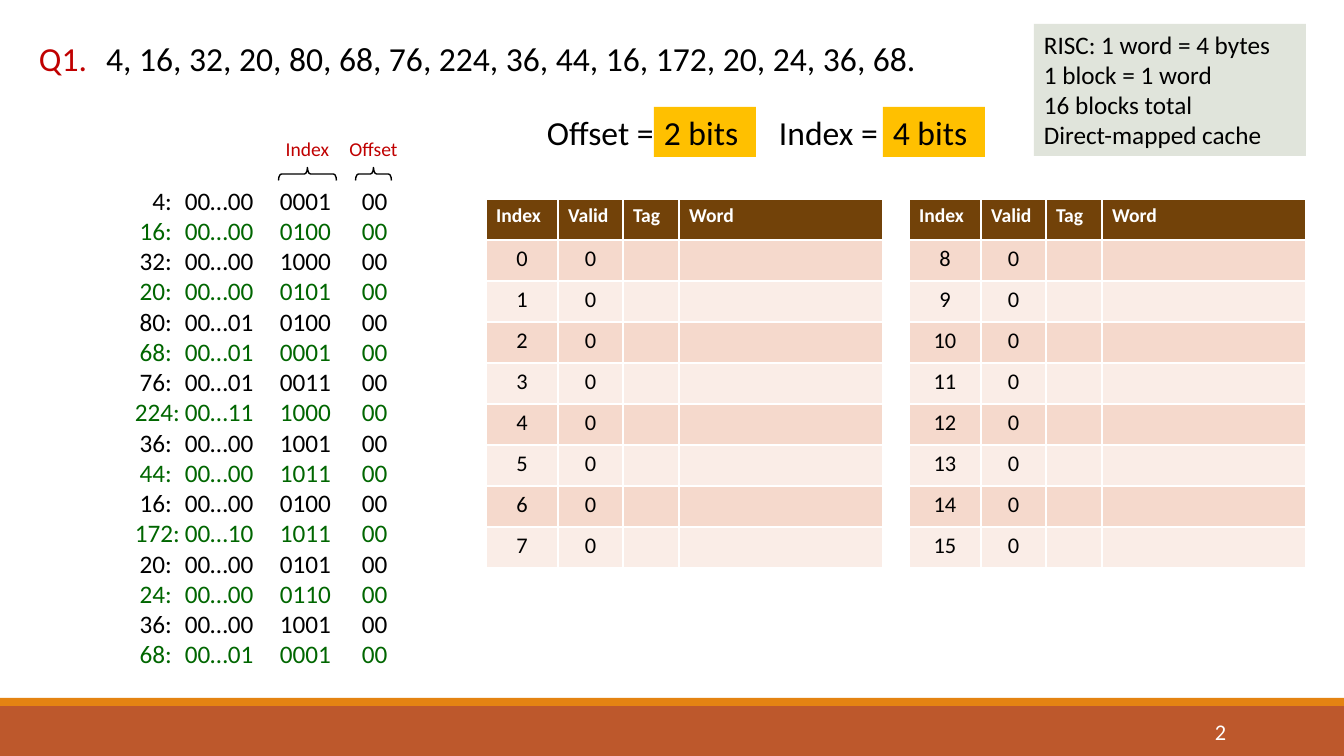
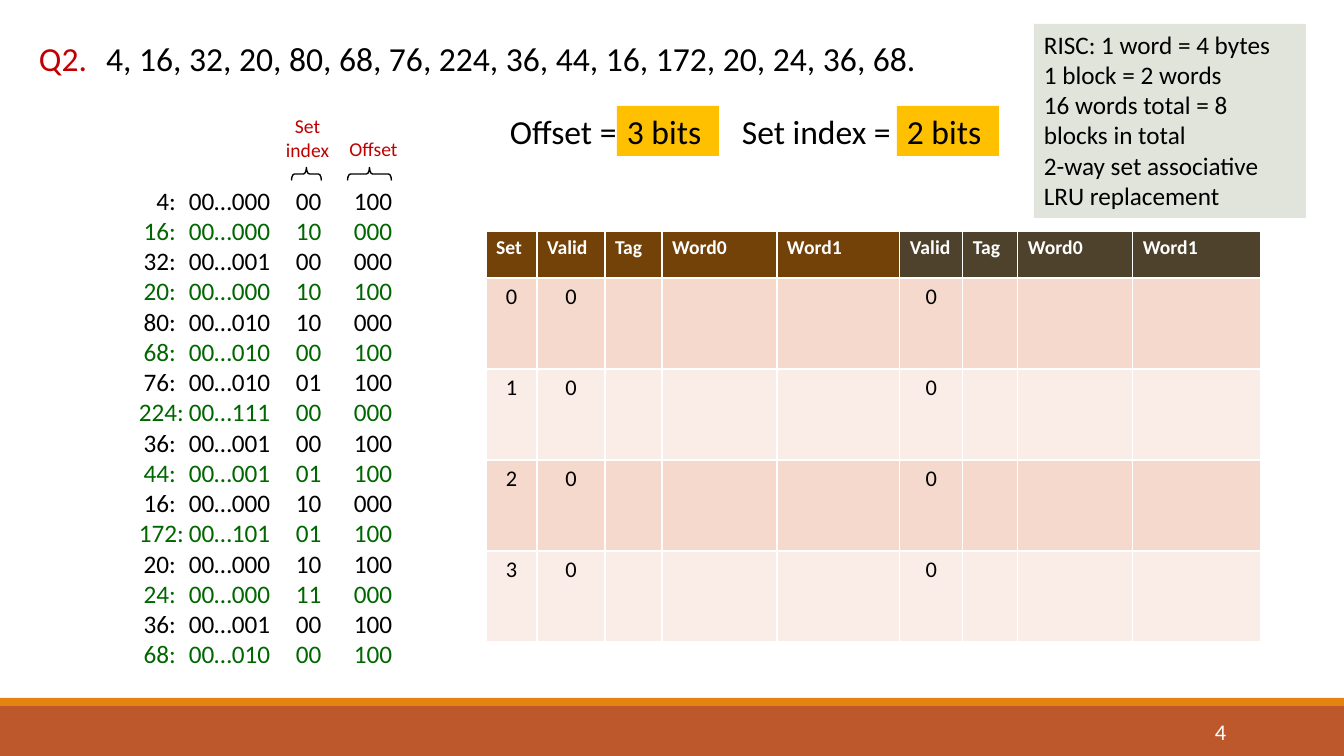
from pptx import Presentation
from pptx import util as u
from pptx.dml.color import RGBColor
from pptx.enum import shapes, text
from pptx.oxml import parse_xml
from pptx.oxml.ns import nsdecls

PX = 914400 / 100.8
FONT = "Calibri"
BLACK = RGBColor(0, 0, 0)
WHITE = RGBColor(255, 255, 255)
RED = RGBColor(0xC0, 0, 0)
GREEN = RGBColor(0, 0x66, 0)
AMBER = RGBColor(0xFF, 0xC0, 0)
SAGE = RGBColor(0xE0, 0xE4, 0xDB)
RUST = RGBColor(0xBD, 0x58, 0x2C)
ORANGE = RGBColor(0xE4, 0x83, 0x12)
BROWN = RGBColor(0x72, 0x42, 0x09)
OLIVE = RGBColor(0x4E, 0x42, 0x2C)
ROW_FILLS = (RGBColor(0xF5, 0xD9, 0xCC), RGBColor(0xFA, 0xED, 0xE7))

LEFT, CENTER, RIGHT = (text.PP_ALIGN.LEFT, text.PP_ALIGN.CENTER,
                       text.PP_ALIGN.RIGHT)
ADDRESSES = (4, 16, 32, 20, 80, 68, 76, 224, 36, 44, 16, 172, 20, 24, 36, 68)
WORD_SIZE = "RISC: 1 word = 4 bytes"


def px(*lengths):
    """Turn pixels into EMU."""
    return [u.Emu(round(length * PX)) for length in lengths]


def style(paragraph, size, color, align=LEFT, bold=False):
    """Format every run of a paragraph."""
    paragraph.alignment = align
    for run in paragraph.runs:
        run.font.name = FONT
        run.font.size = u.Pt(size)
        run.font.bold = bold
        run.font.color.rgb = color


def write(shape, words, size, color=BLACK, align=LEFT,
          anchor=text.MSO_ANCHOR.TOP):
    """Put formatted, wrapping text in a shape."""
    frame = shape.text_frame
    frame.text = words
    frame.word_wrap = True
    frame.auto_size = text.MSO_AUTO_SIZE.NONE
    frame.vertical_anchor = anchor
    for paragraph in frame.paragraphs:
        style(paragraph, size, color, align)


def add_text(slide, box, words, size, **look):
    """Add a text box."""
    label = slide.shapes.add_textbox(*px(*box))
    write(label, words, size, **look)
    return label


def add_panel(slide, box, fill):
    """Add a flat filled rectangle."""
    panel = slide.shapes.add_shape(shapes.MSO_SHAPE.RECTANGLE, *px(*box))
    panel.shadow.inherit = False
    panel.fill.solid()
    panel.fill.fore_color.rgb = fill
    panel.line.fill.background()
    return panel


def add_bands(prs, slide):
    """Draw the bottom bands and hand them over to the slide master."""
    tree = prs.slide_master.shapes.element
    for position, (box, fill) in enumerate((
            ((0, 706, 1344, 50), RUST), ((0, 698, 1344, 8), ORANGE))):
        tree.insert(2 + position, add_panel(slide, box, fill).element)


def add_question(prs, name, page):
    """Start a slide with its question name, sequence and page number."""
    slide = prs.slides.add_slide(prs.slide_layouts[5])
    title = slide.shapes.title
    title.left, title.top, title.width, title.height = px(96, 33, 911, 50)
    write(title, ", ".join(map(str, ADDRESSES)) + ".", 24)
    add_text(slide, (13, 33, 100, 50), name, 24, color=RED, align=CENTER)
    add_text(slide, (1092, 712, 144, 40), page, 16, color=WHITE, align=RIGHT,
             anchor=text.MSO_ANCHOR.MIDDLE)
    return slide


def add_note(slide, height, lines):
    """Add the panel that describes the cache."""
    note = add_panel(slide, (1034, 24, 272, height), SAGE)
    write(note, "\n".join(lines), 18)


def add_answer(slide, left, top, question, answer_left, answer):
    """Add a field size with its highlighted answer."""
    add_text(slide, (left, top, 208, 50), question, 24)
    write(add_panel(slide, (answer_left, top, 102, 50), AMBER), answer, 24)


def add_field_brace(slide, middle, width, label_left, label, lines=1):
    """Add a brace over a column of bits, with its label above."""
    brace = slide.shapes.add_shape(shapes.MSO_SHAPE.RIGHT_BRACE,
                                   *px(middle - 6, 174 - width / 2, 13, width))
    brace.rotation = 270
    brace.adjustments[0] = 0.23
    brace.shadow.inherit = False
    brace.fill.background()
    brace.line.color.rgb = BLACK
    brace.line.width = u.Pt(1)
    height = 11 + 23 * lines
    top = 155 - 23 * lines
    add_text(slide, (label_left, top, 81, height), label, 14, color=RED,
             align=CENTER)


def split_address(address, tag_bits, index_bits, offset_bits):
    """Give an address as tab-separated tag, index and offset bits."""
    bits = f"{address:0{tag_bits + index_bits + offset_bits}b}"
    index_end = tag_bits + index_bits
    lead = "\t" if address < 100 else ""  # three digits fill the column
    return (f"{lead}{address}:\t00…{bits[:tag_bits]}"
            f"\t{bits[tag_bits:index_end]}\t{bits[index_end:]}")


def add_addresses(slide, left, field_bits, stops):
    """List all addresses in binary, in alternating colours."""
    rows = "\n".join(split_address(a, *field_bits) for a in ADDRESSES)
    listing = add_text(slide, (left, 180, 306, 499), rows, 18)
    tabs = "".join(f'<a:tab pos="{stop}" algn="{side}"/>'
                   for stop, side in zip(px(37, *stops), "rlll"))
    for i, paragraph in enumerate(listing.text_frame.paragraphs):
        style(paragraph, 18, (BLACK, GREEN)[i % 2])
        paragraph._p.get_or_add_pPr().append(
            parse_xml(f'<a:tabLst {nsdecls("a")}>{tabs}</a:tabLst>'))


def add_cache(slide, left, top, widths, heights, headers, first=0, ways=1):
    """Add a cache table whose valid bits are all 0."""
    grid = slide.shapes.add_table(len(heights), len(widths), *px(
        left, top, sum(widths), sum(heights))).table
    for column, width in zip(grid.columns, px(*widths)):
        column.width = width
    for row, height in zip(grid.rows, px(*heights)):
        row.height = height
    way_size = (len(headers) - 1) // ways
    for r in range(len(heights)):
        for c, header in enumerate(headers):
            cell = grid.cell(r, c)
            cell.fill.solid()
            if r == 0:
                cell.fill.fore_color.rgb = OLIVE if c > way_size else BROWN
                cell.text_frame.text = header
                style(cell.text_frame.paragraphs[0], 14, WHITE, bold=True)
                continue
            cell.fill.fore_color.rgb = ROW_FILLS[(r - 1) % 2]
            if c == 0 or header == "Valid":
                cell.text_frame.text = "0" if c else str(first + r - 1)
                style(cell.text_frame.paragraphs[0], 16, BLACK, CENTER)


def build_direct_mapped(prs):
    """Build the direct-mapped cache question."""
    slide = add_question(prs, "Q1.", "2")
    add_bands(prs, slide)
    add_answer(slide, 537, 107, "Offset =", 654, "2 bits")
    add_answer(slide, 769, 107, "Index =", 883, "4 bits")
    add_addresses(slide, 125, (2, 4, 2), (50, 145, 227))
    for left, first in ((486, 0), (909, 8)):
        add_cache(slide, left, 199, (72, 65, 56, 204), [41] * 9,
                  ("Index", "Valid", "Tag", "Word"), first)
    add_field_brace(slide, 307, 58, 267, "Index")
    add_field_brace(slide, 373, 36, 333, "Offset")
    add_note(slide, 132, (WORD_SIZE, "1 block = 1 word",
                          "16 blocks total", "Direct-mapped cache"))


def build_set_associative(prs):
    """Build the two-way set associative cache question."""
    slide = add_question(prs, "Q2.", "4")
    add_answer(slide, 500, 106, "Offset =", 617, "3 bits")
    add_answer(slide, 732, 106, "Set index =", 897, "2 bits")
    way = ("Valid", "Tag", "Word0", "Word1")
    add_cache(slide, 486, 231, (51, 68, 57, 115, 123, 63, 55, 115, 128),
              [47] + [91] * 4, ("Set", *way, *way), ways=2)
    add_note(slide, 194, (WORD_SIZE, "1 block = 2 words",
                          "16 words total = 8 blocks in total",
                          "2-way set associative", "LRU replacement"))
    add_field_brace(slide, 306, 30, 267, "Set index", lines=2)
    add_field_brace(slide, 369, 44, 333, "Offset")
    add_addresses(slide, 129, (3, 2, 3), (50, 157, 215))


def main():
    """Build and save both slides."""
    prs = Presentation()
    prs.slide_width, prs.slide_height = px(1344, 756)
    build_direct_mapped(prs)
    build_set_associative(prs)
    prs.save("out.pptx")


main()
